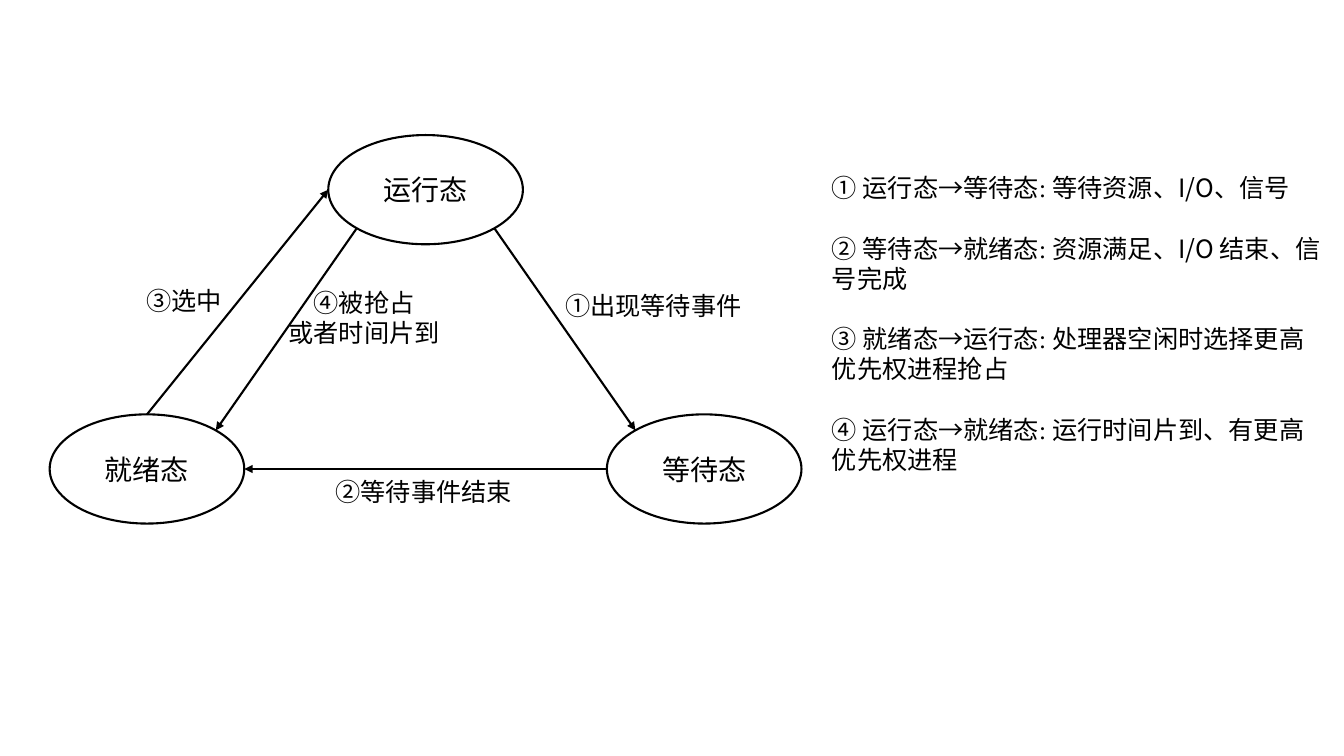
from collections import namedtuple
from math import sqrt

from lxml import etree
from pptx import Presentation
from pptx.dml.color import RGBColor
from pptx.enum.shapes import MSO_CONNECTOR, MSO_SHAPE
from pptx.enum.text import MSO_ANCHOR, MSO_AUTO_SIZE, PP_ALIGN
from pptx.oxml.ns import qn
from pptx.util import Pt

BLACK = RGBColor(0, 0, 0)
SANS = "Noto Sans CJK SC"
SERIF = "Times New Roman"
LINE_WIDTH = Pt(1.5)
LINE_PITCH = 1.2
STATE_W, STATE_H = 139, 78

Box = namedtuple("Box", "left top width height")

STATES = {"运行态": (0.5, 0), "就绪态": (0, 1), "等待态": (1, 1)}
D = 1 / sqrt(2)
TRANSITIONS = [
    ("就绪态", (0, -1), "运行态", (-1, 0)),
    ("运行态", (-D, D), "就绪态", (D, -D)),
    ("运行态", (D, D), "等待态", (-D, -D)),
    ("等待态", (-1, 0), "就绪态", (1, 0)),
]
LABELS = [
    (["①出现等待事件"], SERIF, Box(361, 107, 142, 29)),
    (["②等待事件结束"], SANS, Box(197, 240.5, 142, 29)),
    (["③选中"], SANS, Box(62, 104, 69, 29)),
    (["④被抢占", "或者时间片到"], SANS, Box(162.6, 105, 124, 51)),
]
EXPLANATIONS = [
    ("①", " 运行态→等待态: ", "等待资源、I/O、信号"),
    ("②", " 等待态→就绪态: ", "资源满足、I/O 结束、信号完成"),
    ("③", " 就绪态→运行态: ", "处理器空闲时选择更高优先权进程抢占"),
    ("④", " 运行态→就绪态: ", "运行时间片到、有更高优先权进程"),
]


def write(paragraph, text, size, font=SANS):
    run = paragraph.add_run()
    run.text = text
    run.font.size = Pt(size)
    run.font.name = font
    run.font.color.rgb = BLACK
    east_asian = etree.SubElement(run.font._element, qn("a:ea"))
    east_asian.set("typeface", SANS)
    paragraph.line_spacing = Pt(size * LINE_PITCH)


def in_points(box):
    return [Pt(value) for value in box]


def add_state(slide, name, box):
    oval = slide.shapes.add_shape(MSO_SHAPE.OVAL, *in_points(box))
    oval.shadow.inherit = False
    oval.fill.background()
    oval.line.color.rgb = BLACK
    oval.line.width = LINE_WIDTH
    frame = oval.text_frame
    frame.vertical_anchor = MSO_ANCHOR.MIDDLE
    paragraph = frame.paragraphs[0]
    paragraph.alignment = PP_ALIGN.CENTER
    write(paragraph, name, 20)


def edge_point(box, direction):
    x, y = direction
    return (Pt(box.left + box.width * (1 + x) / 2),
            Pt(box.top + box.height * (1 + y) / 2))


def add_arrow(slide, start, end):
    arrow = slide.shapes.add_connector(MSO_CONNECTOR.STRAIGHT, *start, *end)
    arrow.line.color.rgb = BLACK
    arrow.line.width = LINE_WIDTH
    properties = arrow._element.spPr
    tail = etree.SubElement(properties.find(qn("a:ln")), qn("a:tailEnd"))
    tail.set("type", "triangle")
    etree.SubElement(properties, qn("a:effectLst"))


def add_label(slide, lines, font, box):
    frame = slide.shapes.add_textbox(*in_points(box)).text_frame
    frame.word_wrap = False
    for index, line in enumerate(lines):
        paragraph = frame.add_paragraph() if index else frame.paragraphs[0]
        paragraph.alignment = PP_ALIGN.CENTER if len(lines) > 1 else PP_ALIGN.LEFT
        write(paragraph, line, 18, font)


def add_state_diagram(slide, box):
    state_boxes = {
        name: Box(box.left + x * (box.width - STATE_W),
                  box.top + y * (box.height - STATE_H), STATE_W, STATE_H)
        for name, (x, y) in STATES.items()
    }
    for name, state_box in state_boxes.items():
        add_state(slide, name, state_box)
    for source, leave, target, arrive in TRANSITIONS:
        add_arrow(slide, edge_point(state_boxes[source], leave),
                  edge_point(state_boxes[target], arrive))
    for lines, font, place in LABELS:
        add_label(slide, lines, font, place._replace(
            left=box.left + place.left, top=box.top + place.top))


def add_explanations(body, box):
    body.left, body.top, body.width, body.height = in_points(box)
    frame = body.text_frame
    frame.word_wrap = True
    frame.auto_size = MSO_AUTO_SIZE.NONE
    frame.vertical_anchor = MSO_ANCHOR.TOP
    for index, (number, change, reason) in enumerate(EXPLANATIONS):
        paragraph = frame.add_paragraph() if index else frame.paragraphs[0]
        paragraph.alignment = PP_ALIGN.LEFT
        paragraph.space_before = Pt(18 * LINE_PITCH if index else 0)
        paragraph.space_after = Pt(0)
        write(paragraph, number, 18)
        write(paragraph, change, 18, SERIF)
        write(paragraph, reason, 18)
        properties = paragraph._p.get_or_add_pPr()
        properties.set("marL", "0")
        properties.set("indent", "0")
        etree.SubElement(properties, qn("a:buNone"))


def build():
    deck = Presentation()
    deck.slide_width, deck.slide_height = Pt(960), Pt(540)
    slide = deck.slides.add_slide(deck.slide_layouts[1])
    title = slide.shapes.title._element
    title.getparent().remove(title)
    add_state_diagram(slide, Box(35.5, 96.5, 537, 277.5))
    add_explanations(slide.placeholders[1], Box(587, 119.5, 366, 225))
    deck.save("out.pptx")


build()
